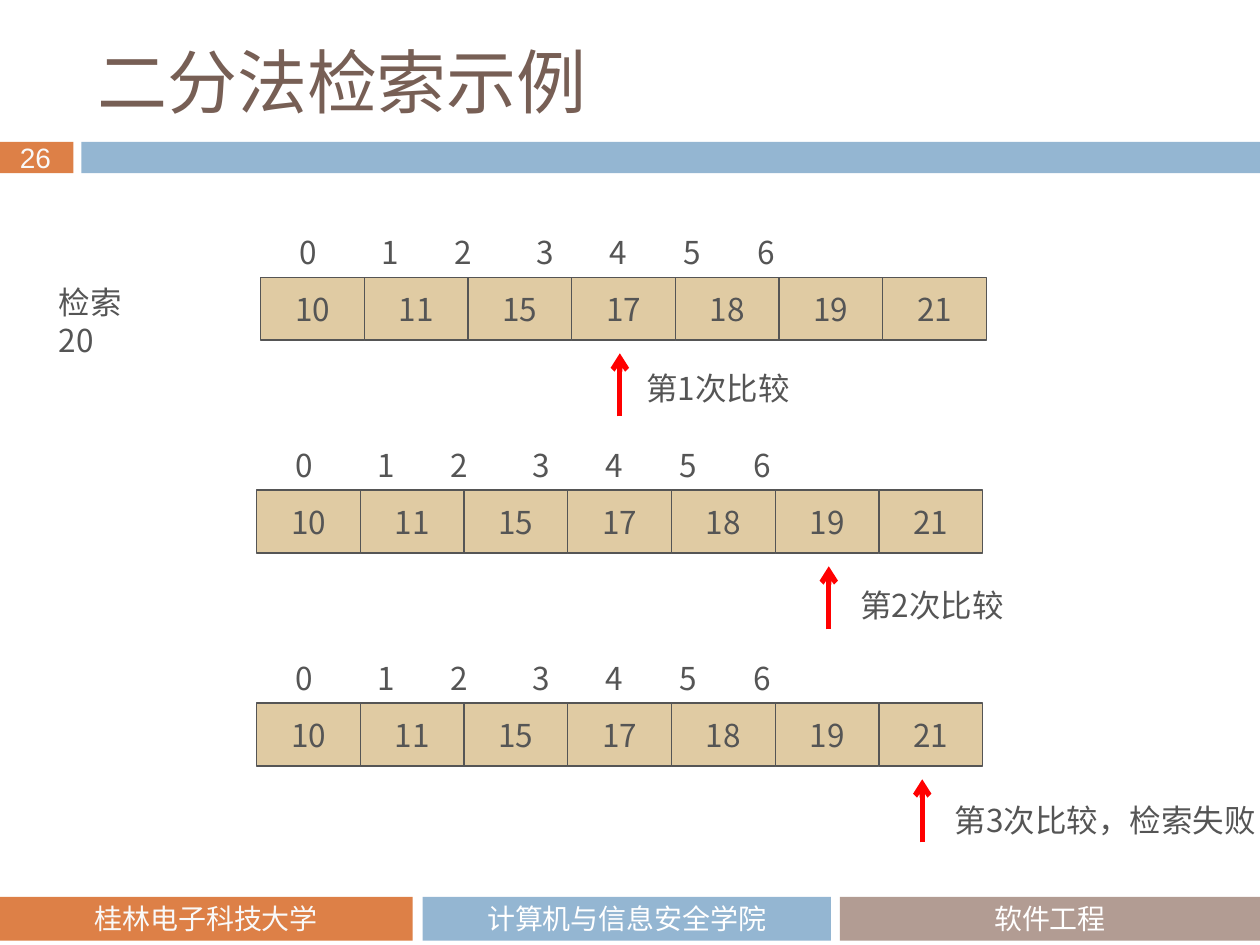
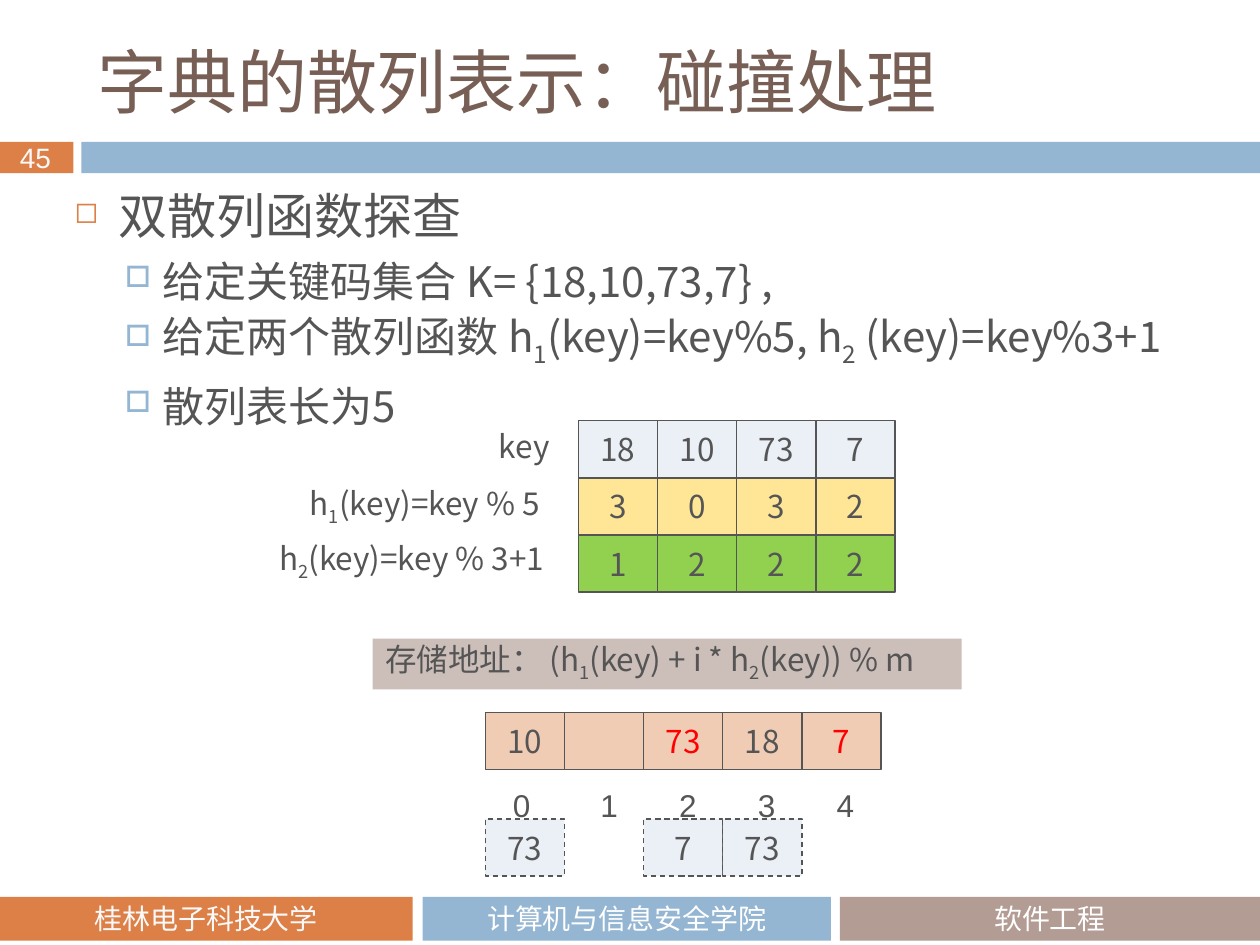
from pptx import Presentation
from pptx.dml.color import RGBColor
from pptx.enum.dml import MSO_LINE
from pptx.enum.shapes import MSO_CONNECTOR as LINK, MSO_SHAPE as SHAPE
from pptx.enum.text import MSO_ANCHOR as ANCHOR, PP_ALIGN as ALIGN
from pptx.oxml.ns import qn
from pptx.util import Pt
from lxml.etree import SubElement

ORANGE = RGBColor(0xDD, 0x80, 0x47)
BLUE = RGBColor(0x94, 0xB6, 0xD2)
MAUVE = RGBColor(0xB2, 0x9C, 0x93)
BROWN = RGBColor(0x77, 0x5F, 0x55)
GRAY = RGBColor(0x55, 0x55, 0x55)
WHITE = RGBColor(0xFF, 0xFF, 0xFF)
PEARL = RGBColor(0xF9, 0xF9, 0xF9)
RED = RGBColor(0xFF, 0x00, 0x00)
SAND = RGBColor(0xE0, 0xCB, 0xA3)
ICE = RGBColor(0xEA, 0xF0, 0xF6)
LEMON = RGBColor(0xFF, 0xE6, 0x97)
GREEN = RGBColor(0x92, 0xD0, 0x50)
PEACH = RGBColor(0xF1, 0xCC, 0xB5)
TAUPE = RGBColor(0xCC, 0xBE, 0xB8)

SANS = "Noto Sans CJK SC"
HEAD = "Noto Sans CJK JP"


def add_runs(para, words):
    """Add the words; the character after each underscore is a subscript."""
    first, *rest = words.split("_")
    para.add_run().text = first
    for part in rest:
        sub = para.add_run()
        sub.text = part[0]
        sub._r.get_or_add_rPr().set("baseline", "-25000")
        if part[1:]:
            para.add_run().text = part[1:]


def set_font(para, size, face, color):
    font = para.font
    font.size, font.name = Pt(size), face
    font.color.rgb = color
    base = para._p.pPr.find(qn("a:defRPr"))
    SubElement(base, qn("a:ea")).set("typeface", face)


def set_tabs(para, stops):
    tabs = SubElement(para._p.get_or_add_pPr(), qn("a:tabLst"))
    for stop in stops:
        tab = SubElement(tabs, qn("a:tab"))
        tab.set("pos", str(Pt(stop)))
        tab.set("algn", "l")


def write(shape, words, size=18, face=SANS, color=GRAY, align=ALIGN.LEFT,
          anchor=ANCHOR.TOP, stops=()):
    frame = shape.text_frame
    frame.word_wrap = True
    frame.vertical_anchor = anchor
    para = frame.paragraphs[0]
    add_runs(para, words)
    para.alignment = align
    para.line_spacing = Pt(1.2 * size)
    if stops:
        set_tabs(para, stops)
    set_font(para, size, face, color)


def add_text(slide, x, y, w, h, words, **style):
    box = slide.shapes.add_textbox(Pt(x), Pt(y), Pt(w), Pt(h))
    write(box, words, **style)


def add_rect(slide, x, y, w, h, fill, edge=None):
    rect = slide.shapes.add_shape(SHAPE.RECTANGLE, Pt(x), Pt(y), Pt(w), Pt(h))
    rect.shadow.inherit = False
    rect.fill.solid()
    rect.fill.fore_color.rgb = fill
    if edge is None:
        rect.line.fill.background()
    else:
        rect.line.color.rgb = edge
        rect.line.width = Pt(0.75)
    return rect


def add_cells(slide, x, y, w, h, values, fill, hot=(), dash=False):
    """Draw a row of cells; None leaves a gap, hot values are red."""
    for col, value in enumerate(values):
        if value is None:
            continue
        cell = add_rect(slide, x + col * w, y, w, h, fill, GRAY)
        if dash:
            cell.line.dash_style = MSO_LINE.DASH
        if value != "":
            write(cell, str(value), color=RED if value in hot else GRAY,
                  align=ALIGN.CENTER, anchor=ANCHOR.MIDDLE)


def add_arrow(slide, x, top, tall):
    """Draw a red arrow that points up."""
    line = slide.shapes.add_connector(
        LINK.STRAIGHT, Pt(x), Pt(top + tall), Pt(x), Pt(top))
    line.line.color.rgb = RED
    line.line.width = Pt(3)
    props = line._element.spPr
    SubElement(props.find(qn("a:ln")), qn("a:tailEnd")).set("type", "arrow")
    SubElement(props, qn("a:effectLst"))


def add_bullets(slide, x, y, w, h, items):
    box = slide.shapes.add_textbox(Pt(x), Pt(y), Pt(w), Pt(h))
    frame = box.text_frame
    frame.word_wrap = True
    looks = [(25.2, 25.2, "◻", ORANGE, 60, 28), (50.4, 21.6, "□", BLUE, 70, 24)]
    for num, (level, words) in enumerate(items):
        left, hang, mark, color, scale, size = looks[level]
        para = frame.add_paragraph() if num else frame.paragraphs[0]
        add_runs(para, words)
        para.level = level
        para.line_spacing = Pt(30)
        if num:
            para.space_before = Pt(5.5)
        props = para._p.get_or_add_pPr()
        props.set("marL", str(Pt(left)))
        props.set("indent", str(-Pt(hang)))
        tint = SubElement(props, qn("a:buClr"))
        SubElement(tint, qn("a:srgbClr")).set("val", str(color))
        SubElement(props, qn("a:buSzPct")).set("val", str(scale * 1000))
        SubElement(props, qn("a:buChar")).set("char", mark)
        set_font(para, size, SANS, GRAY)


def add_base(deck, title, number):
    """Add a slide with its title, bands, number and footers."""
    slide = deck.slides.add_slide(deck.slide_layouts[6])
    add_rect(slide, 0, 81, 42, 18, ORANGE)
    add_rect(slide, 46.5, 81, 673.5, 18, BLUE)
    feet = [(0, 235.75, ORANGE, PEARL, "桂林电子科技大学"),
            (241.5, 233.25, BLUE, WHITE, "计算机与信息安全学院"),
            (480, 240, MAUVE, WHITE, "软件工程")]
    for x, w, fill, ink, words in feet:
        foot = add_rect(slide, x, 512.5, w, 25, fill)
        write(foot, words, 16, "Calibri", ink, ALIGN.CENTER, ANCHOR.MIDDLE)
    add_text(slide, 4.3, 76.5, 36, 26.5, str(number), size=16,
             face="Arial", color=PEARL)
    add_text(slide, 48.5, 18, 642, 56, title, size=40, face=HEAD,
             color=BROWN, anchor=ANCHOR.MIDDLE)
    return slide


def add_search(deck):
    slide = add_base(deck, "二分法检索示例", 26)
    add_text(slide, 26.6, 158.4, 70, 29, "检索20")
    values = [10, 11, 15, 17, 18, 19, 21]
    marks = "\t".join(str(num) for num in range(len(values)))
    stops = [46.5, 88.5, 135, 177, 219.5, 261.5]
    steps = [(149, 158.4, 354.2, 8, 49, 98.6, "第1次比较"),
             (146.75, 280.1, 473.6, 11, 51, 98.6, "第2次比较"),
             (146.75, 401.8, 527, 11.5, 52.5, 189.4, "第3次比较，检索失败")]
    for x, y, tip, gap, drop, w, words in steps:
        add_cells(slide, x, y, 59.25, 36, values, SAND)
        add_text(slide, x + 15.2, y - 28.8, 384, 29, marks, stops=stops)
        add_arrow(slide, tip, y + 43.5, 36)
        add_text(slide, tip + gap, y + drop, w, 29, words)


def add_hash(deck):
    slide = add_base(deck, "字典的散列表示：碰撞处理", 45)
    add_bullets(slide, 35.5, 106, 670, 153, [
        (0, "双散列函数探查"),
        (1, "给定关键码集合 K= {18,10,73,7} ,"),
        (1, "给定两个散列函数 h_1(key)=key%5, h_2 (key)=key%3+1"),
        (1, "散列表长为5")])
    w, h = 45.25, 32.6
    rows = [([18, 10, 73, 7], ICE, 278, 240.5, "key"),
            ([3, 0, 3, 2], LEMON, 170, 276, "h_1(key)=key % 5"),
            ([1, 2, 2, 2], GREEN, 152.5, 307.5, "h_2(key)=key % 3+1")]
    for num, (values, fill, x, y, words) in enumerate(rows):
        add_cells(slide, 330.5, 240.5 + num * h, w, h, values, fill)
        add_text(slide, x, y, 330.5 - x, 29, words)
    rule = add_rect(slide, 213, 365, 336.5, 29, TAUPE)
    write(rule, "存储地址： (h_1(key) + i * h_2(key)) % m")
    add_cells(slide, 277.3, 407.2, w, h, [10, "", 73, 18, 7], PEACH, (73, 7))
    add_text(slide, 286, 445.7, 220, 29, "0\t1\t2\t3\t4", face="Arial",
             stops=[50, 95, 140, 185])
    add_cells(slide, 277.3, 468, w, h, [73, None, 7, 73], ICE, dash=True)


def main():
    deck = Presentation()
    deck.slide_width, deck.slide_height = Pt(720), Pt(540)
    add_search(deck)
    add_hash(deck)
    deck.save("out.pptx")


if __name__ == "__main__":
    main()
